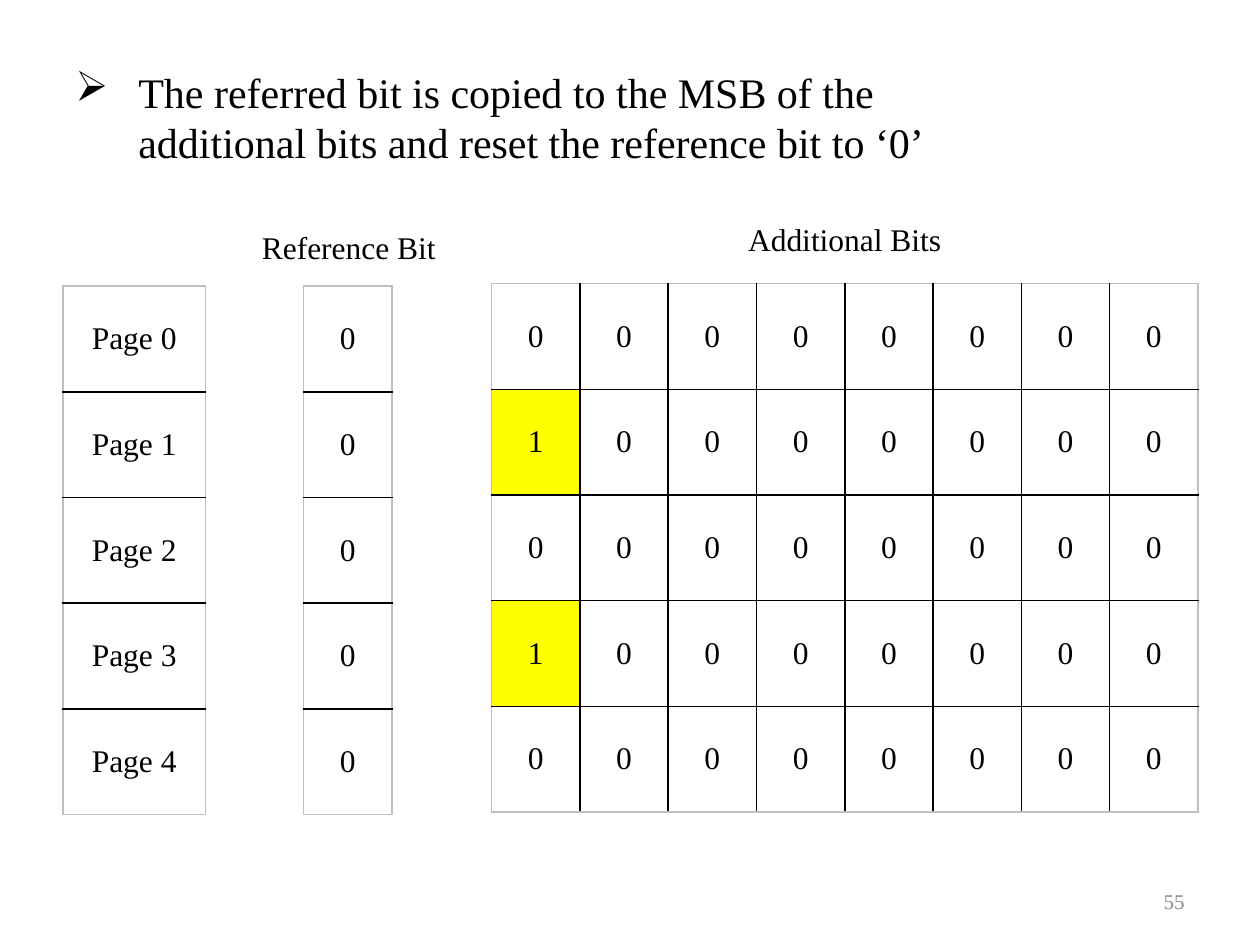
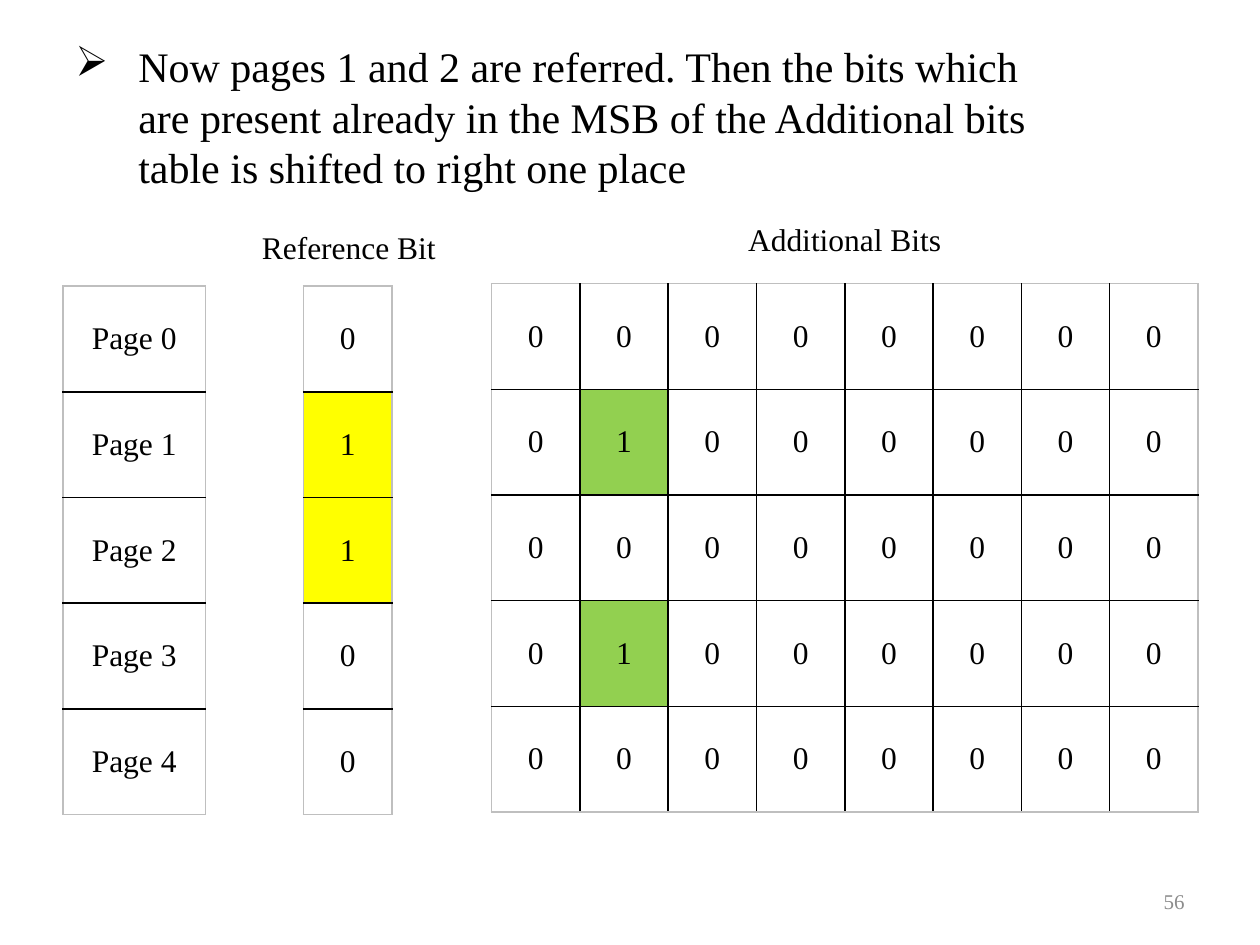
import lxml.etree
import pptx
import pptx.dml.color
import pptx.enum.text
import pptx.oxml.ns
import pptx.util

Cm = pptx.util.Cm
Pt = pptx.util.Pt
RGB = pptx.dml.color.RGBColor
Align = pptx.enum.text.PP_ALIGN
Anchor = pptx.enum.text.MSO_ANCHOR
qn = pptx.oxml.ns.qn

BLACK = RGB(0x00, 0x00, 0x00)
GREY = RGB(0x8C, 0x8C, 0x8C)
EDGE = RGB(0xBF, 0xBF, 0xBF)
YELLOW = RGB(0xFF, 0xFF, 0x00)
GREEN = RGB(0x92, 0xD0, 0x50)
FONT = "Times New Roman"

PAGES = ["Page 0", "Page 1", "Page 2", "Page 3", "Page 4"]
SLIDES = [
    {
        "title": "The referred bit is copied to the MSB of the additional bits "
                 "and reset the reference bit to ‘0’",
        "width": 19.81,
        "refs": "00000",
        "bits": ["00000000", "10000000", "00000000", "10000000", "00000000"],
        "mark": YELLOW,
        "number": "55",
    },
    {
        "title": "Now pages 1 and 2 are referred. Then the bits which are present "
                 "already in the MSB of the Additional bits table is shifted to "
                 "right one place",
        "width": 20.04,
        "refs": "01100",
        "bits": ["00000000", "01000000", "00000000", "01000000", "00000000"],
        "mark": GREEN,
        "number": "56",
    },
]

LEFT = 1.27
INDENT = 1.27
ROW = 2.13
BIT = 1.78
PAGE = 2.87
REF_X = 6.12
BITS_X = 9.91
TABLE_Y = 5.77
BITS_Y = 5.72
LINE = 1.02


def style(para, size, color=BLACK, align=Align.LEFT):
    para.alignment = align
    para.font.name = FONT
    para.font.size = Pt(size)
    para.font.color.rgb = color


def add_text(slide, text, x, y, w, h, size, color=BLACK,
             align=Align.LEFT, anchor=Anchor.TOP, bullet=None):
    box = slide.shapes.add_textbox(Cm(x), Cm(y), Cm(w), Cm(h))
    frame = box.text_frame
    frame.word_wrap = True
    frame.vertical_anchor = anchor
    para = frame.paragraphs[0]
    para.text = text
    if bullet:
        props = para._p.get_or_add_pPr()
        props.set("marL", str(Cm(INDENT)))
        props.set("indent", str(-Cm(INDENT)))
        lxml.etree.SubElement(props, qn("a:buChar"), char=bullet)
    style(para, size, color, align)


def add_border(cell, side, color):
    line = lxml.etree.SubElement(cell._tc.get_or_add_tcPr(), qn("a:ln" + side),
                                 w=str(Pt(1)))
    fill = lxml.etree.SubElement(line, qn("a:solidFill"))
    lxml.etree.SubElement(fill, qn("a:srgbClr"), val=str(color))


def add_grid(slide, rows, x, y, width, mark=None):
    count, cols = len(rows), len(rows[0])
    frame = slide.shapes.add_table(count, cols, Cm(x), Cm(y),
                                   Cm(width * cols), Cm(ROW * count))
    table = frame.table
    table.first_row = table.horz_banding = False
    for col in table.columns:
        col.width = Cm(width)
    for r, row in enumerate(rows):
        table.rows[r].height = Cm(ROW)
        for c, text in enumerate(row):
            cell = table.cell(r, c)
            cell.text = text
            cell.vertical_anchor = Anchor.MIDDLE
            style(cell.text_frame.paragraphs[0], 18, align=Align.CENTER)
            outer = {"L": c == 0, "R": c == cols - 1,
                     "T": r == 0, "B": r == count - 1}
            for side, edge in outer.items():
                add_border(cell, side, EDGE if edge else BLACK)
            if text == "1":
                cell.fill.solid()
                cell.fill.fore_color.rgb = mark
            else:
                cell.fill.background()


def add_page(deck, data):
    slide = deck.slides.add_slide(deck.slide_layouts[6])
    add_text(slide, data["title"], LEFT, 0.76, data["width"], 3.18, 24,
             anchor=Anchor.MIDDLE, bullet="➢")
    add_grid(slide, data["bits"], BITS_X, BITS_Y, BIT, data["mark"])
    add_grid(slide, data["refs"], REF_X, TABLE_Y, BIT, YELLOW)
    add_text(slide, "Reference Bit", 5.03, 4.47, 4.8, LINE, 18)
    add_text(slide, "Additional Bits", BITS_X, 4.32, BIT * 8, LINE, 18,
             align=Align.CENTER)
    add_grid(slide, [[name] for name in PAGES], LEFT, TABLE_Y, PAGE)
    add_text(slide, data["number"], 18.21, 17.65, 5.92, LINE, 12, GREY,
             Align.RIGHT, Anchor.MIDDLE)


def main():
    deck = pptx.Presentation()
    deck.slide_width = Cm(25.4)
    deck.slide_height = Cm(19.05)
    for data in SLIDES:
        add_page(deck, data)
    deck.save("out.pptx")


if __name__ == "__main__":
    main()
